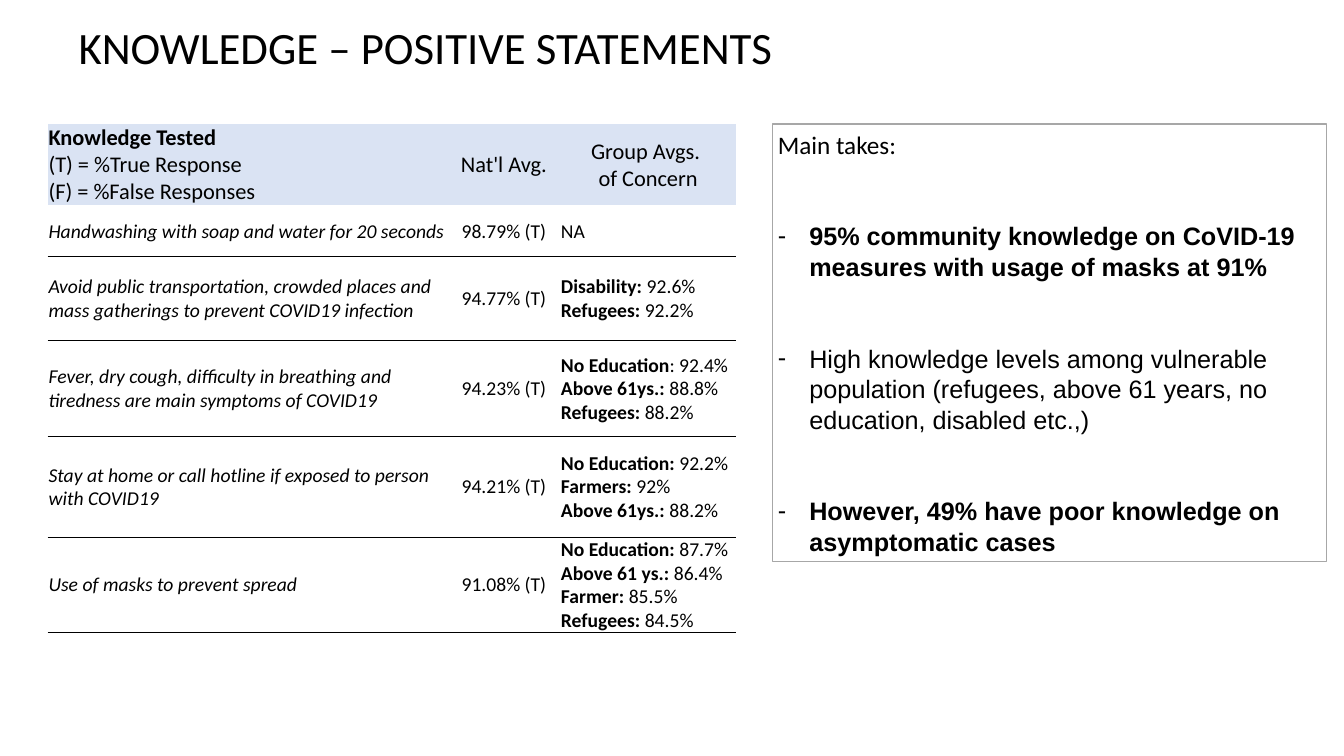
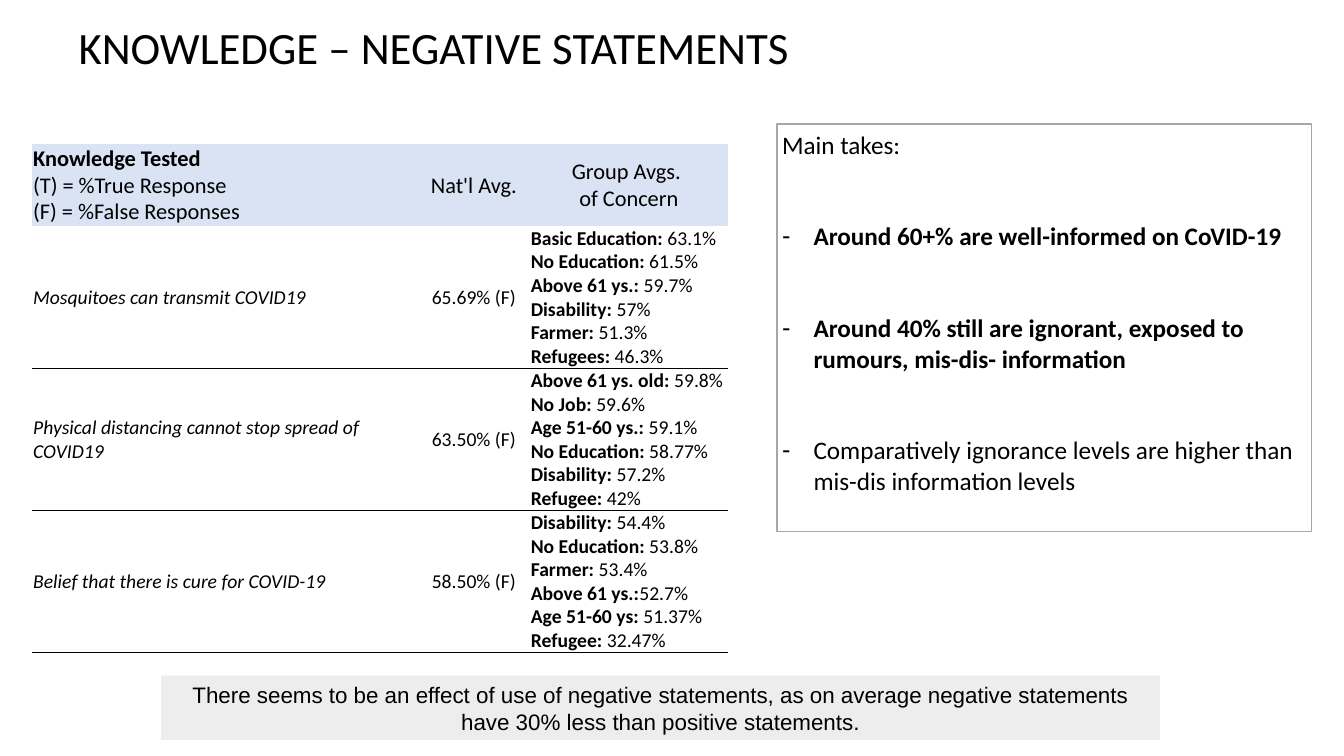
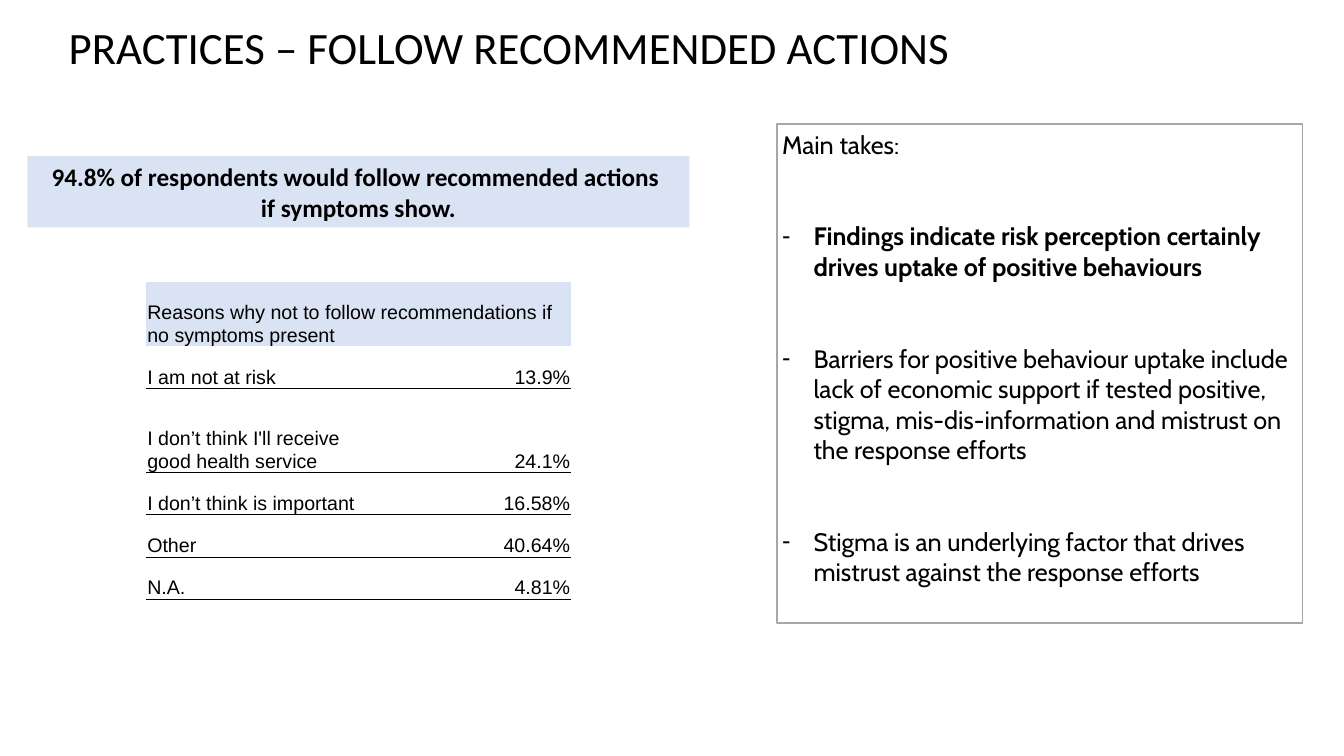
"""Build three slides on COVID-19 knowledge and practices survey results."""
import pptx
import pptx.util
import pptx.dml.color
import pptx.enum.shapes
import pptx.enum.text
import pptx.oxml.ns
from dataclasses import dataclass
from lxml import etree

Pt = pptx.util.Pt
qn = pptx.oxml.ns.qn
ALIGN = pptx.enum.text.PP_ALIGN
ANCHOR = pptx.enum.text.MSO_ANCHOR


@dataclass(frozen=True)
class Theme:
    ink: str = "000000"
    paper: str = "FFFFFF"
    blue: str = "DAE3F3"
    grey: str = "EDEDED"
    frame: str = "A7A7A7"
    font: str = "Calibri"
    plain: str = "Arial"
    title: int = 32
    takes: int = 18
    head: int = 16
    cell: int = 14
    leading: float = 1.21
    inset: float = 3.6
    indent: float = 22.5
    no_grid: str = "{2D5ABB26-0587-4C30-8999-92F81FD0307C}"


T = Theme()
LEFT, CENTER, RIGHT = ALIGN.LEFT, ALIGN.CENTER, ALIGN.RIGHT

KNOWLEDGE_HEAD = [
    ["Knowledge Tested|", "(T) = %True Response", "(F) = %False Responses"],
    ["Nat'l Avg."],
    ["Group Avgs. ", "of Concern"],
]
KNOWLEDGE_STYLE = {
    "head_size": T.head, "font": T.font, "leading": 1.2, "anchor": ANCHOR.MIDDLE,
    "aligns": [LEFT, CENTER, LEFT], "head_aligns": [LEFT, CENTER, CENTER], "italic": True,
}
REASONS_STYLE = {
    "head_size": T.cell, "font": T.plain, "leading": 1.15, "anchor": ANCHOR.BOTTOM,
    "aligns": [LEFT, RIGHT], "head_aligns": [LEFT, RIGHT], "italic": False,
}

SLIDES = [
    {
        "title": ("KNOWLEDGE – POSITIVE STATEMENTS", 52.5),
        "table": {
            "at": (34, 88.5), "cols": [286, 80, 126], "heights": [58, 36.5, 60, 68.5, 72, 68],
            "style": KNOWLEDGE_STYLE,
            "rows": [
                KNOWLEDGE_HEAD,
                [["Handwashing with soap and water for 20 seconds"], ["98.79% (T)"], ["NA"]],
                [["Avoid public transportation, crowded places and mass gatherings to prevent COVID19 infection"],
                 ["94.77% (T)"], ["Disability: |92.6%", "Refugees: |92.2%"]],
                [["Fever, dry cough, difficulty in breathing and tiredness are main symptoms of COVID19"],
                 ["94.23% (T)"], ["No Education|: 92.4%", "Above 61ys.: |88.8%", "Refugees: |88.2%"]],
                [["Stay at home or call hotline if exposed to person with COVID19"],
                 ["94.21% (T)"], ["No Education: |92.2%", "Farmers: |92%", "Above 61ys.: |88.2%"]],
                [["Use of masks to prevent spread"], ["91.08% (T)"],
                 ["No Education: |87.7%", "Above 61 ys.: |86.4%", "Farmer: |85.5%", "Refugees: |84.5%"]],
            ],
        },
        "takes": {
            "box": (552, 88.5, 395.5, 312.5), "font": T.plain, "lead_font": T.font,
            "items": [
                "95% community knowledge on CoVID-19 measures with usage of masks at 91%|",
                "High knowledge levels among vulnerable population (refugees, above 61 years, "
                "no education, disabled etc.,)",
                "However, 49% have poor knowledge on asymptomatic cases|",
            ],
        },
    },
    {
        "title": ("KNOWLEDGE – NEGATIVE STATEMENTS", 52.5),
        "table": {
            "at": (23, 103), "cols": [275.5, 80, 141.5], "heights": [58.5, 101.2, 101.2, 101.2],
            "style": KNOWLEDGE_STYLE,
            "rows": [
                KNOWLEDGE_HEAD,
                [["Mosquitoes can transmit COVID19"], ["65.69% (F)"],
                 ["Basic Education:| 63.1%", "No Education:| 61.5%", "Above 61 ys.:| 59.7%",
                  "Disability:| 57%", "Farmer:| 51.3%", "Refugees:| 46.3%"]],
                [["Physical distancing cannot stop spread of COVID19"], ["63.50% (F)"],
                 ["Above 61 ys. old:| 59.8%", "No Job: |59.6%", "Age 51-60 ys.:| 59.1%",
                  "No Education:| 58.77%", "Disability:| 57.2%", "Refugee:| 42%"]],
                [["Belief that there is cure for COVID-19"], ["58.50% (F)"],
                 ["Disability:| 54.4%", "No Education:| 53.8%", "Farmer:| 53.4%",
                  "Above 61 ys.:|52.7%", "Age 51-60 ys:| 51.37%", "Refugee:| 32.47%"]],
            ],
        },
        "band": {
            "box": (115, 482.5, 713.5, 46), "fill": T.grey, "size": T.head, "font": T.plain, "side": 7.2,
            "lines": ["There seems to be an effect of use of negative statements, as on average "
                      "negative statements have 30% less than positive statements."],
        },
        "takes": {
            "box": (555, 88.5, 382, 291), "font": T.font, "lead_font": T.font,
            "items": [
                "Around 60+% are well-informed on CoVID-19|",
                "Around 40% still are ignorant, exposed to rumours, mis-dis- information|",
                "Comparatively ignorance levels are higher than mis-dis information levels",
            ],
        },
    },
    {
        "title": ("PRACTICES – FOLLOW RECOMMENDED ACTIONS", 45.5),
        "band": {
            "box": (19.5, 111.5, 473, 51), "fill": T.blue, "size": T.takes, "font": T.font, "side": T.inset,
            "lines": ["94.8% of respondents would follow recommended actions |", "if symptoms show.|"],
        },
        "table": {
            "at": (104.5, 201.5), "cols": [174, 129.5], "heights": [46, 30.2, 59.8, 30.2, 30.2, 30.2],
            "style": REASONS_STYLE,
            "rows": [
                [["Reasons why not to follow recommendations if no symptoms present"]],
                [["I am not at risk"], ["13.9%"]],
                [["I don’t think I'll receive good health service"], ["24.1%"]],
                [["I don’t think is important"], ["16.58%"]],
                [["Other"], ["40.64%"]],
                [["N.A."], ["4.81%"]],
            ],
        },
        "takes": {
            "box": (555, 88.5, 375.5, 356.5), "font": "Cabin", "lead_font": "Cabin",
            "items": [
                "Findings indicate risk perception certainly drives uptake of positive behaviours|",
                "Barriers for positive behaviour uptake include lack of economic support if tested positive, "
                "stigma, mis-dis-information and mistrust on the response efforts",
                "Stigma is an underlying factor that drives mistrust against the response efforts",
            ],
        },
    },
]


def rgb(value):
    return pptx.dml.color.RGBColor.from_string(value)


def put(target, **values):
    for name, value in values.items():
        setattr(target, name, value)


def paint(target, color):
    target.fill.solid()
    target.fill.fore_color.rgb = rgb(color)


def place(sp, left, top, width, height):
    put(sp, left=Pt(left), top=Pt(top), width=Pt(width), height=Pt(height))


def frame(tf, anchor, side=T.inset):
    put(tf, word_wrap=True, auto_size=pptx.enum.text.MSO_AUTO_SIZE.NONE, vertical_anchor=anchor,
        margin_left=Pt(side), margin_right=Pt(side), margin_top=Pt(T.inset), margin_bottom=Pt(T.inset))


def write(p, lines, size, font, align=LEFT, leading=T.leading, italic=False, before=0):
    """Write lines into one paragraph, bold up to the bar."""
    put(p, alignment=align, line_spacing=Pt(round(size * leading, 1)), space_before=Pt(before))
    for i, line in enumerate(lines):
        if i:
            p.add_line_break()
        strong, bar, rest = line.rpartition("|")
        for text, bold in ((strong, True), (rest, False)):
            if text:
                r = p.add_run()
                r.text = text
                put(r.font, name=font, size=Pt(size), bold=bold, italic=italic)
                r.font.color.rgb = rgb(T.ink)


def set_bullet(p, char=None):
    pPr = p._p.get_or_add_pPr()
    indent = Pt(T.indent) if char else 0
    pPr.set("marL", str(indent))
    pPr.set("indent", str(-indent))
    if char:
        etree.SubElement(pPr, qn("a:buChar")).set("char", char)
    else:
        etree.SubElement(pPr, qn("a:buNone"))


def rule_below(cell):
    tcPr = cell._tc.get_or_add_tcPr()
    ln = etree.Element(qn("a:lnB"), w=str(Pt(0.5)))
    fill = etree.SubElement(ln, qn("a:solidFill"))
    etree.SubElement(fill, qn("a:srgbClr"), val=T.ink)
    tcPr.insert(0, ln)


def add_title(s, text, left):
    sp = s.shapes.title
    place(sp, left, 10, 860, 46)
    frame(sp.text_frame, ANCHOR.MIDDLE)
    write(sp.text_frame.paragraphs[0], [text], T.title, T.font)


def add_takes(s, box, font, lead_font, items):
    sp = s.placeholders[1]
    place(sp, *box)
    sp.line.color.rgb = rgb(T.frame)
    sp.line.width = Pt(1)
    tf = sp.text_frame
    frame(tf, ANCHOR.TOP)
    write(tf.paragraphs[0], ["Main takes:"], T.takes, lead_font)
    set_bullet(tf.paragraphs[0])
    for item in items:
        p = tf.add_paragraph()
        write(p, [item], T.takes, font, before=round(2 * T.takes * T.leading, 1))
        set_bullet(p, "-")


def add_band(s, box, fill, size, font, side, lines):
    sp = s.shapes.add_shape(pptx.enum.shapes.MSO_SHAPE.RECTANGLE, *map(Pt, box))
    sp.shadow.inherit = False
    paint(sp, fill)
    sp.line.fill.background()
    frame(sp.text_frame, ANCHOR.TOP, side)
    write(sp.text_frame.paragraphs[0], lines, size, font, CENTER)


def add_grid(s, at, cols, heights, style, rows):
    size = (sum(cols), sum(heights))
    tbl = s.shapes.add_table(len(rows), len(cols), *map(Pt, at + size)).table
    put(tbl, first_row=False, horz_banding=False)
    tbl._tbl.tblPr.find(qn("a:tableStyleId")).text = T.no_grid
    for col, width in zip(tbl.columns, cols):
        col.width = Pt(width)
    for i, (row, height) in enumerate(zip(rows, heights)):
        tbl.rows[i].height = Pt(height)
        head = i == 0
        aligns = style["head_aligns" if head else "aligns"]
        if len(row) < len(cols):
            tbl.cell(i, 0).merge(tbl.cell(i, len(cols) - 1))
        for j, lines in enumerate(row):
            cell = tbl.cell(i, j)
            put(cell, vertical_anchor=style["anchor"], margin_left=Pt(0.7), margin_right=Pt(0.7),
                margin_top=Pt(0.7), margin_bottom=0)
            paint(cell, T.blue if head else T.paper)
            if not head:
                rule_below(cell)
            write(cell.text_frame.paragraphs[0], lines, style["head_size"] if head else T.cell,
                  style["font"], aligns[j], style["leading"], style["italic"] and j == 0 and not head)


def main():
    prs = pptx.Presentation()
    put(prs, slide_width=Pt(960), slide_height=Pt(540))
    for content in SLIDES:
        s = prs.slides.add_slide(prs.slide_layouts[1])
        add_title(s, *content["title"])
        add_grid(s, **content["table"])
        if "band" in content:
            add_band(s, **content["band"])
        add_takes(s, **content["takes"])
    prs.save("out.pptx")


if __name__ == "__main__":
    main()
